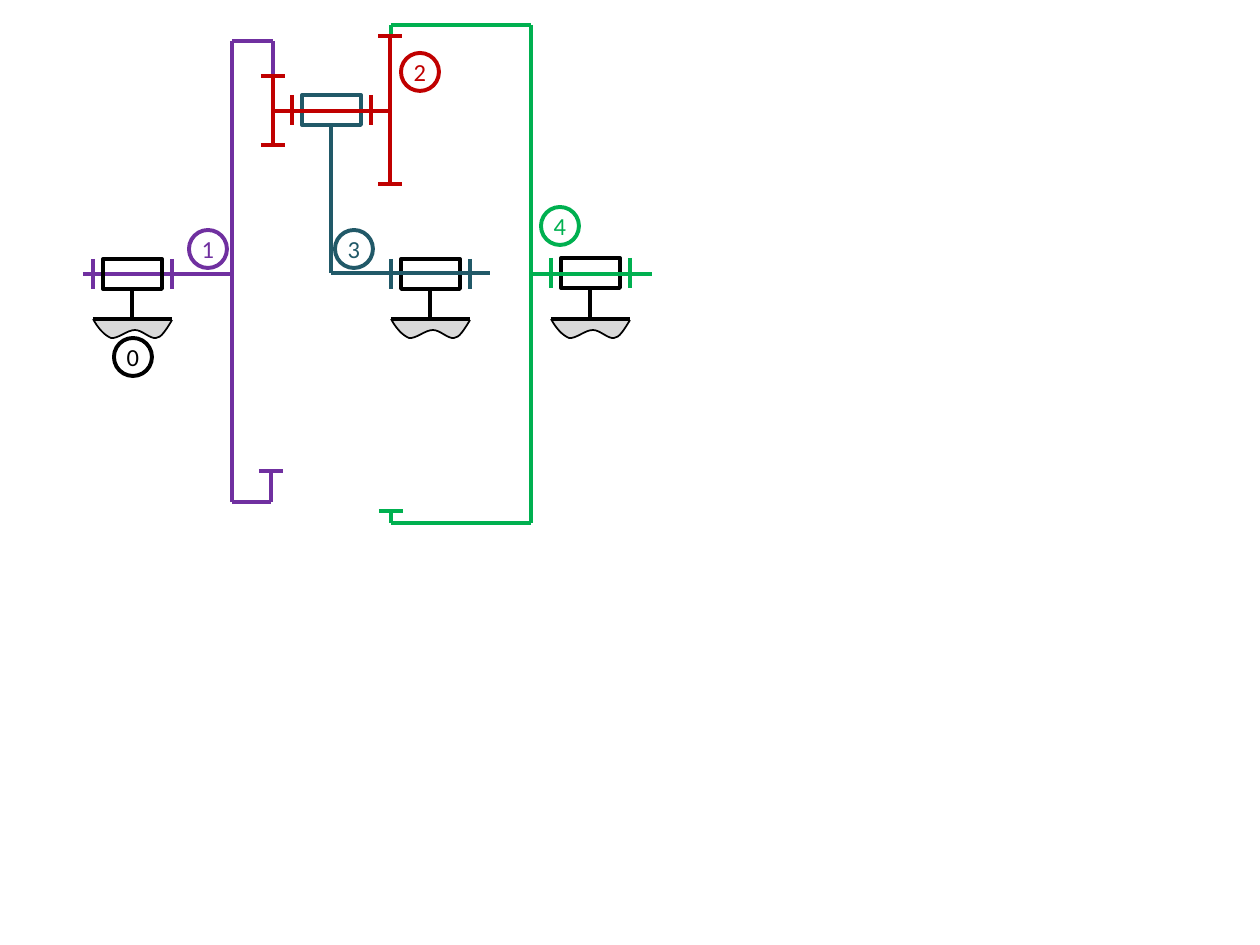
from dataclasses import dataclass
from lxml.etree import SubElement
from pptx import Presentation
from pptx.dml.color import RGBColor
from pptx.enum.shapes import MSO_CONNECTOR, MSO_SHAPE
from pptx.enum.text import MSO_ANCHOR, PP_ALIGN
from pptx.oxml.ns import qn
from pptx.slide import Slide
from pptx.util import Emu, Inches, Pt

COLORS = {
    "frame": "000000",
    "ground": "D9D9D9",
    "input": "7030A0",
    "planet": "C00000",
    "carrier": "215968",
    "output": "00B050",
}
BEARING_WIDTH = 79
BEARING_HEIGHT = 30
GROUND_CURVE = [
    (5, 9), (11, 16), (18, 19),
    (25, 20), (34, 11), (42, 11),
    (49, 11), (57, 20), (63, 19),
    (68, 19), (73, 11), (79, 1),
]


def px(length):
    return Emu(round(length * 914400 / 126))


def color(name):
    return RGBColor.from_string(COLORS[name])


def bend(shape):
    outline = next(shape._element.iter(qn("a:path")))
    segments = outline.findall(qn("a:lnTo"))
    for first in range(0, len(segments), 3):
        curve = SubElement(outline, qn("a:cubicBezTo"))
        for segment in segments[first:first + 3]:
            curve.append(segment[0])
            outline.remove(segment)


@dataclass
class Diagram:
    page: Slide
    font: str = "Calibri"
    font_size: float = 14
    line_width: float = 2.25
    thin_width: float = 1

    def line(self, name, x1, y1, x2, y2):
        connector = self.page.shapes.add_connector(
            MSO_CONNECTOR.STRAIGHT, px(x1), px(y1), px(x2), px(y2)
        )
        connector.line.color.rgb = color(name)
        connector.line.width = Pt(self.line_width)
        properties = connector._element.find(qn("p:spPr"))
        SubElement(properties, qn("a:effectLst"))

    def route(self, name, *points):
        for start, end in zip(points, points[1:]):
            self.line(name, *start, *end)

    def tooth(self, name, x, y):
        self.line(name, x - 12, y, x + 12, y)

    def outline(self, kind, name, left, top, width, height):
        shape = self.page.shapes.add_shape(kind, px(left), px(top), px(width), px(height))
        shape.shadow.inherit = False
        shape.fill.background()
        shape.line.color.rgb = color(name)
        shape.line.width = Pt(self.line_width)
        return shape

    def bearing(self, box_name, shaft_name, left, top):
        self.outline(MSO_SHAPE.RECTANGLE, box_name, left + 10, top, 59, BEARING_HEIGHT)
        for x in (left, left + BEARING_WIDTH):
            self.line(shaft_name, x, top, x, top + BEARING_HEIGHT)

    def ground(self, left, top):
        builder = self.page.shapes.build_freeform(px(left), px(top))
        points = [(px(left + x), px(top + y)) for x, y in GROUND_CURVE]
        builder.add_line_segments(points, close=False)
        shape = builder.convert_to_shape()
        bend(shape)
        shape.shadow.inherit = False
        shape.fill.solid()
        shape.fill.fore_color.rgb = color("ground")
        shape.line.color.rgb = color("frame")
        shape.line.width = Pt(self.thin_width)
        center = left + BEARING_WIDTH // 2
        self.line("frame", center, top - 30, center, top)
        self.line("frame", left, top, left + BEARING_WIDTH, top)

    def label(self, name, text, left, top):
        shape = self.outline(MSO_SHAPE.OVAL, name, left, top, 38, 38)
        frame = shape.text_frame
        frame.margin_left = frame.margin_right = frame.margin_top = frame.margin_bottom = 0
        frame.vertical_anchor = MSO_ANCHOR.MIDDLE
        frame.text = text
        para = frame.paragraphs[0]
        para.alignment = PP_ALIGN.CENTER
        span = para.runs[0]
        span.font.name = self.font
        span.font.size = Pt(self.font_size)
        span.font.color.rgb = color(name)
        properties = span._r.find(qn("a:rPr"))
        stroke = SubElement(properties, qn("a:ln"), w=str(Pt(0.75)))
        fill = SubElement(stroke, qn("a:solidFill"))
        SubElement(fill, qn("a:srgbClr"), val=COLORS[name])
        properties.insert(0, stroke)


def main():
    deck = Presentation()
    deck.slide_width, deck.slide_height = Inches(10), Inches(7.5)
    diagram = Diagram(deck.slides.add_slide(deck.slide_layouts[6]))

    for left in (93, 391, 551):
        diagram.ground(left, 319)

    diagram.line("input", 83, 274, 232, 274)
    diagram.bearing("frame", "input", 93, 259)
    diagram.route("input", (273, 76), (273, 41), (232, 41), (232, 502), (271, 502), (271, 470))
    diagram.tooth("input", 271, 471)

    diagram.bearing("carrier", "planet", 292, 95)
    diagram.bearing("frame", "carrier", 391, 259)
    diagram.route("carrier", (331, 125), (331, 273), (490, 273))

    diagram.bearing("frame", "output", 551, 258)
    diagram.line("output", 531, 274, 652, 274)
    diagram.route("output", (391, 36), (391, 25), (531, 25), (531, 523), (391, 523), (391, 511))
    diagram.tooth("output", 391, 511)

    diagram.line("planet", 273, 111, 390, 111)
    for x, top, bottom in ((273, 76, 145), (390, 36, 184)):
        diagram.line("planet", x, top, x, bottom)
        diagram.tooth("planet", x, top)
        diagram.tooth("planet", x, bottom)

    for name, text, left, top in (
        ("frame", "0", 114, 338),
        ("input", "1", 189, 230),
        ("planet", "2", 401, 53),
        ("carrier", "3", 335, 230),
        ("output", "4", 541, 207),
    ):
        diagram.label(name, text, left, top)

    deck.save("out.pptx")


if __name__ == "__main__":
    main()
